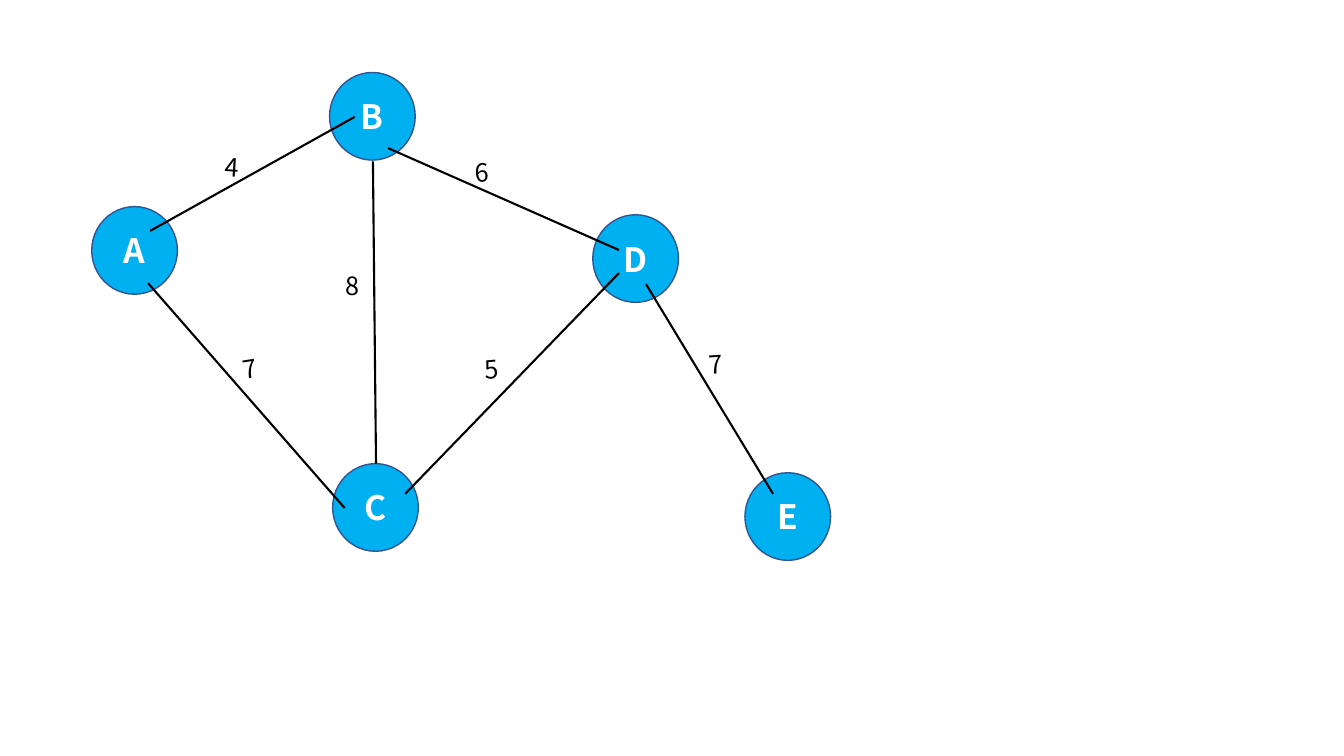
from lxml import etree
from pptx import Presentation
from pptx.dml.color import RGBColor
from pptx.enum import shapes, text
from pptx.oxml import ns
from pptx.util import Pt

BLUE = RGBColor(0x00, 0xB0, 0xF0)
NAVY = RGBColor(0x32, 0x54, 0x91)
BLACK = RGBColor(0x00, 0x00, 0x00)
WHITE = RGBColor(0xFF, 0xFF, 0xFF)

# Name, left, top
NODES = [
    ("A", 65.5, 147.6),
    ("B", 235.4, 51.8),
    ("C", 237.6, 331.2),
    ("E", 532.1, 337.7),
    ("D", 423.4, 153.4),
]

# Start, end, weight, left and top of the weight, its rotation
EDGES = [
    ((107.3, 164.9), (253.4, 83.5), "4", (154.1, 105.1), 3.7),
    ((277.2, 105.8), (442.1, 178.6), "6", (331.9, 108.7), 357),
    ((266.4, 115.2), (268.6, 331.2), "8", (239.8, 189.4), 0),
    ((461.5, 203), (552.2, 352.8), "7", (499, 245.5), 356.3),
    ((289.4, 352.8), (442.1, 195.1), "5", (339.1, 249.1), 355.3),
    ((105.8, 202.3), (246.2, 362.9), "7", (166.3, 248.4), 351.2),
]


class Graph:
    """Draws nodes, edges and weights on one slide in a shared style."""

    font_name = "Noto Sans CJK SC"
    node_width, node_height = 61.2, 62.6
    weight_side = 28.8

    def __init__(self, page):
        """Keep the slide to draw on."""
        self.page = page

    def label(self, box, words, size, color, bold=False):
        """Put one styled paragraph into a box and return it."""
        para = box.text_frame.paragraphs[0]
        para.text = words
        para.font.name = self.font_name
        para.font.size = Pt(size)
        para.font.bold = bold
        para.font.color.rgb = color
        return para

    def node(self, name, left, top):
        """Add a named circle."""
        circle = self.page.shapes.add_shape(
            shapes.MSO_SHAPE.OVAL, Pt(left), Pt(top),
            Pt(self.node_width), Pt(self.node_height))
        circle.shadow.inherit = False
        circle.fill.solid()
        circle.fill.fore_color.rgb = BLUE
        circle.line.color.rgb = NAVY
        circle.line.width = Pt(1)
        circle.text_frame.vertical_anchor = text.MSO_ANCHOR.MIDDLE
        para = self.label(circle, name, 24, WHITE, bold=True)
        para.alignment = text.PP_ALIGN.CENTER

    def edge(self, start, end):
        """Add a straight line between two points."""
        line = self.page.shapes.add_connector(
            shapes.MSO_CONNECTOR.STRAIGHT, *map(Pt, start + end))
        line.line.color.rgb = BLACK
        line.line.width = Pt(1.5)
        etree.SubElement(line._element.spPr, ns.qn("a:effectLst"))

    def weight(self, value, corner, rotation):
        """Add the weight of an edge."""
        side = Pt(self.weight_side)
        box = self.page.shapes.add_textbox(*map(Pt, corner), side, side)
        box.rotation = rotation
        box.text_frame.word_wrap = True
        box.text_frame.auto_size = text.MSO_AUTO_SIZE.SHAPE_TO_FIT_TEXT
        self.label(box, value, 18, BLACK)


def main():
    """Build the weighted graph and save the deck."""
    deck = Presentation()
    deck.slide_width, deck.slide_height = Pt(960), Pt(540)
    graph = Graph(deck.slides.add_slide(deck.slide_layouts[6]))
    for node in NODES:
        graph.node(*node)
    for start, end, *_ in EDGES:
        graph.edge(start, end)
    for _, _, value, corner, rotation in EDGES:
        graph.weight(value, corner, rotation)
    deck.save("out.pptx")


main()
